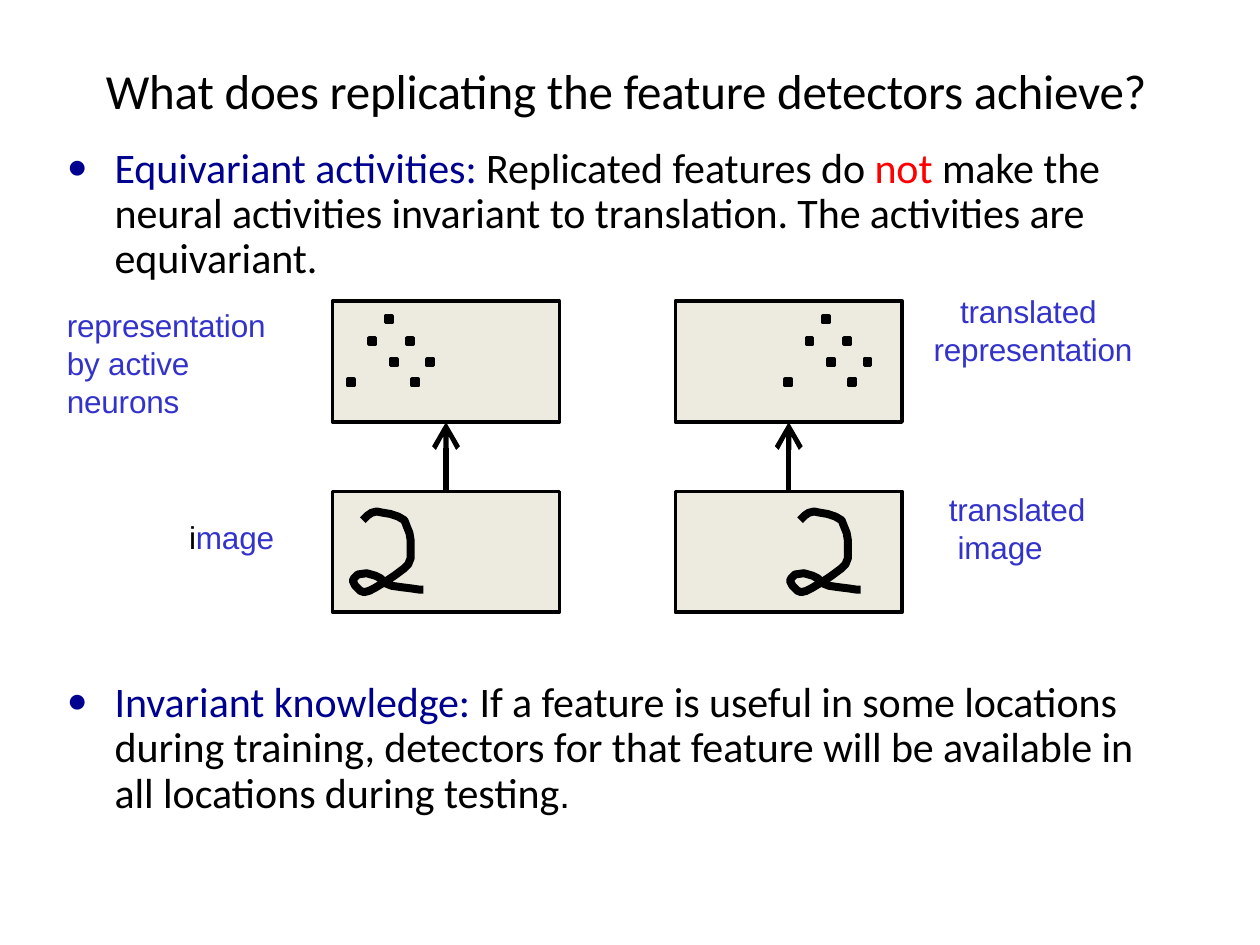
from lxml.etree import SubElement
from pptx import Presentation
from pptx.dml.color import RGBColor
from pptx.enum.shapes import MSO_CONNECTOR as Connector, MSO_SHAPE as Shape
from pptx.enum.text import MSO_ANCHOR as Anchor, MSO_AUTO_SIZE as AutoSize, PP_ALIGN as Align
from pptx.oxml.ns import qn
from pptx.util import Inches, Pt

COLORS = {"black": "000000", "navy": "000090", "red": "FF0000", "blue": "3333CC", "panel": "EDEBE0"}
PANEL_WIDTH, PANEL_HEIGHT = 1.8, 0.96
NEURON_TOP, IMAGE_TOP = 2.39, 3.9
ACTIVE_NEURONS = [(0.42, 0.12), (0.29, 0.29), (0.59, 0.29), (0.46, 0.46), (0.75, 0.46), (0.12, 0.62), (0.63, 0.62)]
DIGIT_STROKE = [
    (24, 23), (26, 21), (28, 19), (31, 17), (35, 16), (40, 17), (46, 18), (52, 20), (57, 23), (59, 28),
    (61, 33), (62, 39), (62, 45), (62, 49), (62, 53), (60, 58), (57, 61), (53, 64), (49, 67), (43, 71),
    (38, 74), (33, 77), (29, 79), (25, 80), (22, 79), (20, 77), (18, 75), (17, 73), (16, 71), (17, 69),
    (20, 66), (27, 65), (34, 67), (38, 69), (42, 73), (47, 75), (54, 76), (62, 77), (69, 78), (72, 78),
]


def color(name):
    """Return the named colour."""
    return RGBColor.from_string(COLORS[name])


def add_run(paragraph, text, font="Arial", size=18, fill="blue", spacing=-10):
    """Add text in the given format to a paragraph."""
    run = paragraph.add_run()
    run.text = text
    run.font.name, run.font.size = font, Pt(size)
    run.font.color.rgb = color(fill)
    run.font.bold = False
    run._r.get_or_add_rPr().set("spc", str(spacing))


def set_frame(shape, top_inset=0.01):
    """Wrap the text of a shape from its top left corner and return its first paragraph."""
    frame = shape.text_frame
    frame.word_wrap, frame.auto_size = True, AutoSize.NONE
    frame.vertical_anchor = Anchor.TOP
    frame.margin_left = frame.margin_right = frame.margin_bottom = 0
    frame.margin_top = Inches(top_inset)
    frame.paragraphs[0].alignment = Align.LEFT
    return frame.paragraphs[0]


def set_indent(paragraph, margin, first_line):
    """Set the left margin and first-line indent of a paragraph."""
    properties = paragraph._p.get_or_add_pPr()
    properties.set("marL", str(Inches(margin)))
    properties.set("indent", str(Inches(first_line)))
    return properties


def add_title(slide):
    """Place and fill the title."""
    title = slide.shapes.title
    title.left, title.top, title.width, title.height = map(Inches, (0.84, 0.46, 8.37, 0.49))
    paragraph = set_frame(title, top_inset=0.02)
    add_run(paragraph, "What does replicating the feature detectors achieve?", font="Calibri", size=28, fill="black")


def add_bullet(slide, top, width, runs):
    """Add a bulleted paragraph made of text and format pairs."""
    box = slide.shapes.add_textbox(Inches(0.52), Inches(top), Inches(width), Inches(1.15))
    paragraph = set_frame(box, top_inset=0.06)
    properties = set_indent(paragraph, 0.39, -0.38)
    bullet_color = SubElement(properties, qn("a:buClr"))
    SubElement(bullet_color, qn("a:srgbClr"), val=COLORS["navy"])
    SubElement(properties, qn("a:buFont"), typeface="Calibri")
    SubElement(properties, qn("a:buChar"), char="•")
    paragraph.line_spacing = Pt(25.9)
    for text, style in runs:
        add_run(paragraph, text, **{"font": "Calibri", "size": 24, "fill": "black", "spacing": -6, **style})


def add_label(slide, left, top, width, height, runs, margin=0.01, first_line=0):
    """Add a wrapped diagram label."""
    box = slide.shapes.add_textbox(*map(Inches, (left, top, width, height)))
    paragraph = set_frame(box)
    set_indent(paragraph, margin, first_line)
    for text, fill in runs:
        add_run(paragraph, text, fill=fill)


def add_rectangle(shapes, left, top, width, height, fill):
    """Add a filled rectangle with a black outline."""
    rectangle = shapes.add_shape(Shape.RECTANGLE, *map(Inches, (left, top, width, height)))
    rectangle.shadow.inherit = False
    rectangle.fill.solid()
    rectangle.fill.fore_color.rgb = color(fill)
    rectangle.line.color.rgb = color("black")
    rectangle.line.width = Pt(2.04)


def add_arrow(shapes, x, start, end):
    """Add a vertical arrow with an open head."""
    arrow = shapes.add_connector(Connector.STRAIGHT, Inches(x), Inches(start), Inches(x), Inches(end))
    arrow.line.color.rgb = color("black")
    arrow.line.width = Pt(2.9)
    SubElement(arrow.line._get_or_add_ln(), qn("a:tailEnd"), type="arrow", w="lg", len="lg")
    SubElement(arrow._element.spPr, qn("a:effectLst"))


def add_digit(shapes, left, top):
    """Draw the handwritten two."""
    builder = shapes.build_freeform(*DIGIT_STROKE[0], scale=Inches(0.01))
    builder.add_line_segments(DIGIT_STROKE[1:], close=False)
    digit = builder.convert_to_shape(Inches(left), Inches(top))
    digit.shadow.inherit = False
    digit.fill.background()
    digit.line.color.rgb = color("black")
    digit.line.width = Pt(4.56)


def add_diagram(slide, left, shift):
    """Add an image and its neurons, with their pattern shifted to the right."""
    shapes = slide.shapes.add_group_shape().shapes
    for top in (IMAGE_TOP, NEURON_TOP):
        add_rectangle(shapes, left, top, PANEL_WIDTH, PANEL_HEIGHT, "panel")
    add_arrow(shapes, left + PANEL_WIDTH / 2, IMAGE_TOP, NEURON_TOP + PANEL_HEIGHT)
    add_digit(shapes, left + shift, IMAGE_TOP)
    for x, y in ACTIVE_NEURONS:
        add_rectangle(shapes, left + shift + x, NEURON_TOP + y, 0.05, 0.05, "black")


def main():
    """Build and save the slide."""
    presentation = Presentation()
    presentation.slide_width, presentation.slide_height = Inches(10), Inches(7.5)
    slide = presentation.slides.add_slide(presentation.slide_layouts[5])
    add_title(slide)
    add_bullet(slide, 1.1, 8.27, [
        ("Equivariant activities: ", {"fill": "navy"}),
        ("Replicated features do ", {}),
        ("not ", {"fill": "red"}),
        ("make the neural activities invariant to translation. The activities are equivariant.", {}),
    ])
    add_bullet(slide, 5.34, 8.53, [
        ("Invariant knowledge: ", {"fill": "navy"}),
        ("If a feature is useful in some locations during training, detectors for that feature "
         "will be available in all locations during testing", {}),
        (".", {"font": "Arial", "size": 22}),
    ])
    add_diagram(slide, 2.64, 0)
    add_diagram(slide, 5.36, 0.75)
    add_label(slide, 0.52, 2.42, 1.62, 0.93, [("representation by active neurons", "blue")])
    add_label(slide, 1.49, 4.1, 0.71, 0.33, [("i", "black"), ("mage", "blue")])
    add_label(slide, 7.4, 2.31, 1.62, 0.63, [("translated representation", "blue")], first_line=0.21)
    add_label(slide, 7.52, 3.88, 1.12, 0.63, [("translated image", "blue")], margin=0.08, first_line=-0.07)
    presentation.save("out.pptx")


if __name__ == "__main__":
    main()
